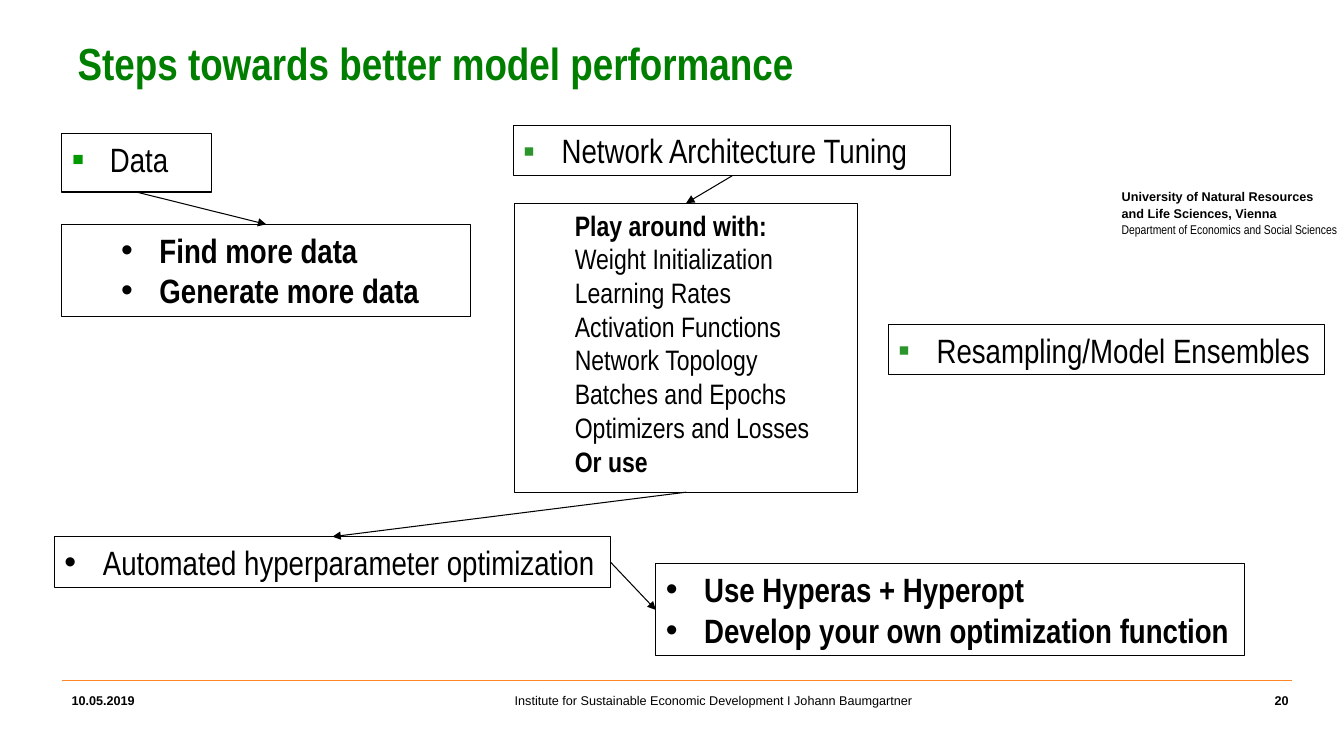
"""Build the slide on steps towards better model performance."""
from lxml.etree import SubElement
from pptx import Presentation
from pptx.dml.color import RGBColor
from pptx.enum.shapes import MSO_CONNECTOR, MSO_SHAPE
from pptx.enum.text import MSO_ANCHOR, PP_ALIGN
from pptx.oxml.ns import qn
from pptx.util import Inches, Pt

BLACK = RGBColor(0x00, 0x00, 0x00)
TITLE_GREEN = RGBColor(0x00, 0x7E, 0x00)
DATA_GREEN = RGBColor(0x00, 0x99, 0x00)
STEP_GREEN = RGBColor(0x2B, 0x94, 0x2B)
RULE_ORANGE = RGBColor(0xFF, 0x85, 0x28)
SANS, NARROW = "Arial", "Arial Narrow"
TOP, LEFT, BOTTOM, RIGHT = range(4)

TITLE = "Steps towards better model performance"
SENDER = [("University of Natural Resources", SANS, True),
          ("and Life Sciences, Vienna", SANS, True),
          ("Department of Economics and Social Sciences", NARROW, False)]
FOOTERS = [
    ("10.05.2019", (0.61, 6.81, 1.54, 0.5), PP_ALIGN.LEFT, True),
    ("Institute for Sustainable Economic Development I Johann Baumgartner",
     (2.56, 6.81, 9, 0.25), PP_ALIGN.CENTER, False),
    ("20", (11.56, 6.81, 1.29, 0.39), PP_ALIGN.RIGHT, True),
]
SQUARE = ("▪", STEP_GREEN, 100)
DOT = ("•", BLACK, 100)
STEPS = {
    "data": dict(at=(0.61, 1.32, 1.48, 0.58), lines=["Data"],
                 bullet=("▪", DATA_GREEN, 110)),
    "tuning": dict(at=(5.08, 1.24, 4.33, 0.5),
                   lines=["Network Architecture Tuning"], bullet=SQUARE),
    "automated": dict(at=(0.54, 5.31, 5.5, 0.5), wrap=False, bullet=DOT,
                      lines=["Automated hyperparameter optimization"]),
    "ensembles": dict(at=(8.79, 3.21, 4.32, 0.5), wrap=False, bullet=SQUARE,
                      lines=["Resampling/Model Ensembles"]),
    "tools": dict(at=(6.49, 5.58, 5.83, 0.91), wrap=False, bullet=DOT,
                  lines=["Use Hyperas + Hyperopt",
                         "Develop your own optimization function"],
                  bold=(0, 1)),
    "more data": dict(at=(0.61, 2.22, 4.05, 0.91), bullet=DOT, margin=0.87,
                      lines=["Find more data", "Generate more data"],
                      bold=(0, 1)),
    "play": dict(at=(5.09, 2.01, 3.4, 2.86), margin=0.5, size=20,
                 lines=["Play around with:", "Weight Initialization",
                        "Learning Rates", "Activation Functions",
                        "Network Topology", "Batches and Epochs",
                        "Optimizers and Losses", "Or use"],
                 bold=(0, 7)),
}
ARROWS = [("data", BOTTOM, "more data", TOP), ("tuning", BOTTOM, "play", TOP),
          ("play", BOTTOM, "automated", TOP),
          ("automated", RIGHT, "tools", LEFT)]


def write(paragraph, text, size, font=SANS, bold=False, color=BLACK):
    paragraph.text = text
    for run in paragraph.runs:
        run.font.size = Pt(size)
        run.font.name = font
        run.font.bold = bold
        run.font.color.rgb = color


def add_text(slide, at):
    frame = slide.shapes.add_textbox(*map(Inches, at)).text_frame
    frame.word_wrap = True
    return frame


def indent(paragraph, margin, bullet):
    properties = paragraph._p.get_or_add_pPr()
    properties.set("marL", str(Inches(margin)))
    if bullet is None:
        return
    mark, color, percent = bullet
    properties.set("indent", str(-Inches(0.38)))
    holder = SubElement(properties, qn("a:buClr"))
    SubElement(holder, qn("a:srgbClr"), val=str(color))
    SubElement(properties, qn("a:buSzPct"), val=str(percent * 1000))
    SubElement(properties, qn("a:buFont"), typeface=SANS)
    SubElement(properties, qn("a:buChar"), char=mark)


def add_step(slide, at, lines, bullet=None, margin=0.38, size=24, bold=(),
             wrap=True):
    box = slide.shapes.add_shape(MSO_SHAPE.RECTANGLE, *map(Inches, at))
    box.shadow.inherit = False
    box.fill.background()
    box.line.color.rgb = BLACK
    box.line.width = Pt(0.75)
    frame = box.text_frame
    frame.word_wrap = wrap
    frame.vertical_anchor = MSO_ANCHOR.TOP
    frame.text = "\n".join(lines)
    for index, paragraph in enumerate(frame.paragraphs):
        write(paragraph, lines[index], size, NARROW, index in bold)
        paragraph.alignment = PP_ALIGN.LEFT
        indent(paragraph, margin, bullet)
    return box


def add_line(slide, color, start=(0, 0), end=(0, 0)):
    line = slide.shapes.add_connector(MSO_CONNECTOR.STRAIGHT,
                                      *map(Inches, start + end))
    line.line.color.rgb = color
    line.line.width = Pt(0.75)
    SubElement(line._element.spPr, qn("a:effectLst"))
    return line


def main():
    deck = Presentation()
    deck.slide_width, deck.slide_height = Inches(13.3), Inches(7.48)
    slide = deck.slides.add_slide(deck.slide_layouts[6])

    sender = add_text(slide, (10.98, 1.79, 3.38, 0.62))
    sender.margin_left = sender.margin_right = Inches(0.12)
    sender.margin_top = sender.margin_bottom = Inches(0.06)
    sender.text = "\n".join(text for text, _, _ in SENDER)
    for paragraph, (text, font, bold) in zip(sender.paragraphs, SENDER):
        write(paragraph, text, 9, font, bold)
        paragraph.line_spacing = Pt(12)

    add_line(slide, RULE_ORANGE, (0.61, 6.73), (12.79, 6.73))
    for text, at, alignment, bold in FOOTERS:
        footer = add_text(slide, at).paragraphs[0]
        write(footer, text, 9, bold=bold)
        footer.alignment = alignment

    title = add_text(slide, (0.67, 0.3, 11.97, 1.25)).paragraphs[0]
    write(title, TITLE, 32, NARROW, True, TITLE_GREEN)

    boxes = {name: add_step(slide, **step) for name, step in STEPS.items()}
    for source, source_side, target, target_side in ARROWS:
        arrow = add_line(slide, BLACK)
        arrow.begin_connect(boxes[source], source_side)
        arrow.end_connect(boxes[target], target_side)
        SubElement(arrow.line._get_or_add_ln(), qn("a:tailEnd"),
                   type="triangle")

    deck.save("out.pptx")


if __name__ == "__main__":
    main()
